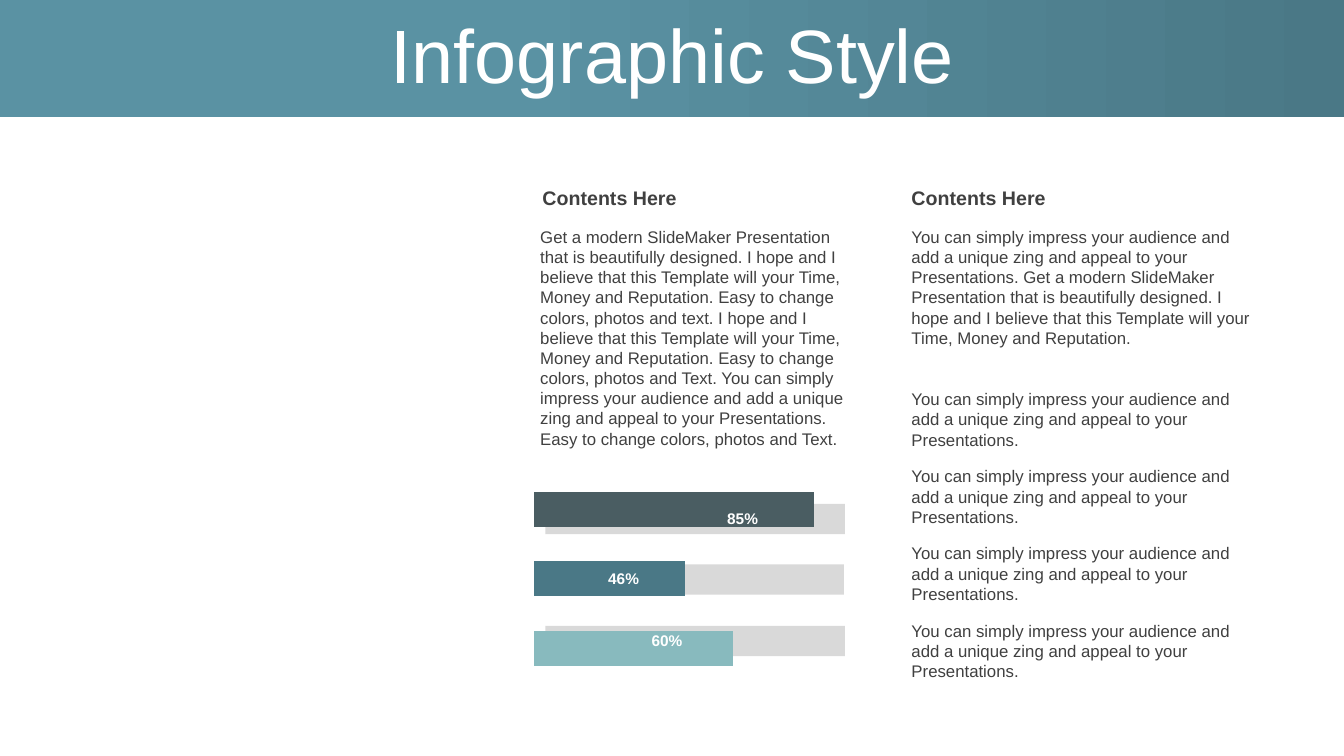
from dataclasses import dataclass

from lxml.etree import SubElement
from pptx import Presentation
from pptx.chart.data import CategoryChartData
from pptx.dml.color import RGBColor
from pptx.enum.chart import XL_CHART_TYPE
from pptx.enum.shapes import MSO_SHAPE
from pptx.enum.text import MSO_ANCHOR, MSO_AUTO_SIZE, PP_ALIGN
from pptx.oxml.ns import qn
from pptx.slide import Slide
from pptx.text.text import TextFrame
from pptx.util import Inches, Pt

FONT = "Arial"
DARK = "404040"
WHITE = "FFFFFF"
TRACK = "D9D9D9"
COLUMN_LEFT = 8.92
COLUMN_WIDTH = 3.72
IMPRESS = "You can simply impress your audience and add a unique zing and appeal to your Presentations."
MODERN = "Get a modern SlideMaker Presentation that is beautifully designed."
HOPE = "I hope and I believe that this Template will your Time, Money and Reputation."
EASY = "Easy to change colors, photos and"


@dataclass
class TextItem:
    text: str
    left: float
    top: float
    width: float
    height: float
    size: float = 12
    color: str = DARK
    bold: bool = False
    align: PP_ALIGN = PP_ALIGN.LEFT
    inset: float = 0.12


@dataclass
class Bar:
    value: int
    color: str
    label: str
    label_left: float
    track_left: float
    track_top: float


BARS = [
    Bar(71, "88BABE", "60%", 6.24, 5.41, 6.21),
    Bar(54, "4A7886", "46%", 5.81, 5.4, 5.6),
    Bar(100, "4A5D62", "85%", 6.99, 5.41, 5.0),
]

TEXTS = [
    TextItem(f"{MODERN} {HOPE} {EASY} text. {HOPE} {EASY} Text. {IMPRESS} {EASY} Text.",
             5.26, 2.2, 3.36, 2.32, inset=0.1),
    TextItem("Contents Here", 5.26, 1.8, 3.38, 0.34, size=14, bold=True),
    TextItem(f"{IMPRESS} {MODERN} {HOPE}", COLUMN_LEFT, 2.2, COLUMN_WIDTH, 1.31),
    TextItem("Contents Here", COLUMN_LEFT, 1.8, COLUMN_WIDTH, 0.34, size=14, bold=True),
    *[TextItem(IMPRESS, COLUMN_LEFT, 3.81 + row * 0.765, COLUMN_WIDTH, 0.5) for row in range(4)],
]


def rgb(color: str) -> RGBColor:
    return RGBColor.from_string(color)


def write(frame: TextFrame, item: TextItem) -> None:
    frame.text = item.text
    para = frame.paragraphs[0]
    para.alignment = item.align
    font = para.runs[0].font
    formats = {"name": FONT, "size": Pt(item.size), "bold": item.bold}
    for name, value in formats.items():
        setattr(font, name, value)
    font.color.rgb = rgb(item.color)


def add_text(page: Slide, item: TextItem) -> None:
    box = page.shapes.add_textbox(
        Inches(item.left), Inches(item.top), Inches(item.width), Inches(item.height))
    frame = box.text_frame
    formats = {
        "word_wrap": True,
        "auto_size": MSO_AUTO_SIZE.SHAPE_TO_FIT_TEXT,
        "margin_left": Inches(item.inset),
        "margin_right": Inches(item.inset),
    }
    for name, value in formats.items():
        setattr(frame, name, value)
    write(frame, item)


def add_header(page: Slide, width: int) -> None:
    band = page.shapes.add_shape(MSO_SHAPE.RECTANGLE, 0, 0, width, Inches(1.16))
    band.shadow.inherit = False
    band.line.fill.background()
    band.fill.gradient()
    band.fill.gradient_angle = 0
    for stop, (position, color) in zip(
            band.fill.gradient_stops, [(0.38, "5A92A3"), (1, "4A7886")]):
        stop.position = position
        stop.color.rgb = rgb(color)

    title = page.shapes.title
    title.element.addprevious(band.element)
    item = TextItem("Infographic Style", 0.34, 0.19, 12.66, 0.79, 54, WHITE, align=PP_ALIGN.CENTER)
    for name in ("left", "top", "width", "height"):
        setattr(title, name, Inches(getattr(item, name)))
    frame = title.text_frame
    write(frame, item)
    formats = {
        "auto_size": MSO_AUTO_SIZE.NONE,
        "vertical_anchor": MSO_ANCHOR.MIDDLE,
        "word_wrap": True,
    }
    for name, value in formats.items():
        setattr(frame, name, value)
    frame.paragraphs[0].line_spacing = 0.9


def add_track(page: Slide, bar: Bar) -> None:
    track = page.shapes.add_shape(
        MSO_SHAPE.RECTANGLE, Inches(bar.track_left), Inches(bar.track_top), Inches(2.97), Inches(0.3))
    track.shadow.inherit = False
    track.fill.solid()
    track.fill.fore_color.rgb = rgb(TRACK)
    track.line.fill.background()


def add_bar_chart(page: Slide) -> None:
    data = CategoryChartData()
    data.categories = [str(number) for number in range(1, len(BARS) + 1)]
    data.add_series("Series 1", [bar.value for bar in BARS])
    chart = page.shapes.add_chart(
        XL_CHART_TYPE.BAR_CLUSTERED, Inches(5.23), Inches(4.67), Inches(3.06), Inches(2.15), data).chart
    chart.has_legend = False
    chart.has_title = False
    chart.font.name = FONT
    chart.font.size = Pt(10)
    chart.font.color.rgb = rgb("000000")
    chart.value_axis.minimum_scale = 0
    chart.value_axis.maximum_scale = 100
    chart.value_axis.has_major_gridlines = False
    chart.value_axis.visible = False
    chart.category_axis.visible = False

    plot = chart.plots[0]
    plot.gap_width = 100
    plot.vary_by_categories = False
    series = plot.series[0]
    series.format.fill.solid()
    series.format.fill.fore_color.rgb = rgb("38464A")
    for index, bar in enumerate(BARS):
        fill = series.points[index].format.fill
        fill.solid()
        fill.fore_color.rgb = rgb(bar.color)

    plot_area = chart.element.find(f".//{qn('c:plotArea')}")
    layout = plot_area.find(qn("c:layout"))
    if layout is None:
        layout = SubElement(plot_area, qn("c:layout"))
        plot_area.insert(0, layout)
    manual = SubElement(layout, qn("c:manualLayout"))
    settings = {"layoutTarget": "inner", "xMode": "edge", "yMode": "edge",
                "x": "0.022", "y": "0.018", "w": "0.908", "h": "0.962"}
    for name, value in settings.items():
        SubElement(manual, qn(f"c:{name}")).set("val", value)


def main() -> None:
    deck = Presentation()
    deck.slide_width = Inches(13.33)
    deck.slide_height = Inches(7.5)
    page = deck.slides.add_slide(deck.slide_layouts[5])
    add_header(page, deck.slide_width)
    for item in TEXTS:
        add_text(page, item)
    for bar in BARS:
        add_track(page, bar)
    add_bar_chart(page)
    for bar in BARS:
        add_text(page, TextItem(bar.label, bar.label_left, bar.track_top, 0.75, 0.29,
                                11, WHITE, True, PP_ALIGN.CENTER))
    deck.save("out.pptx")


if __name__ == "__main__":
    main()
